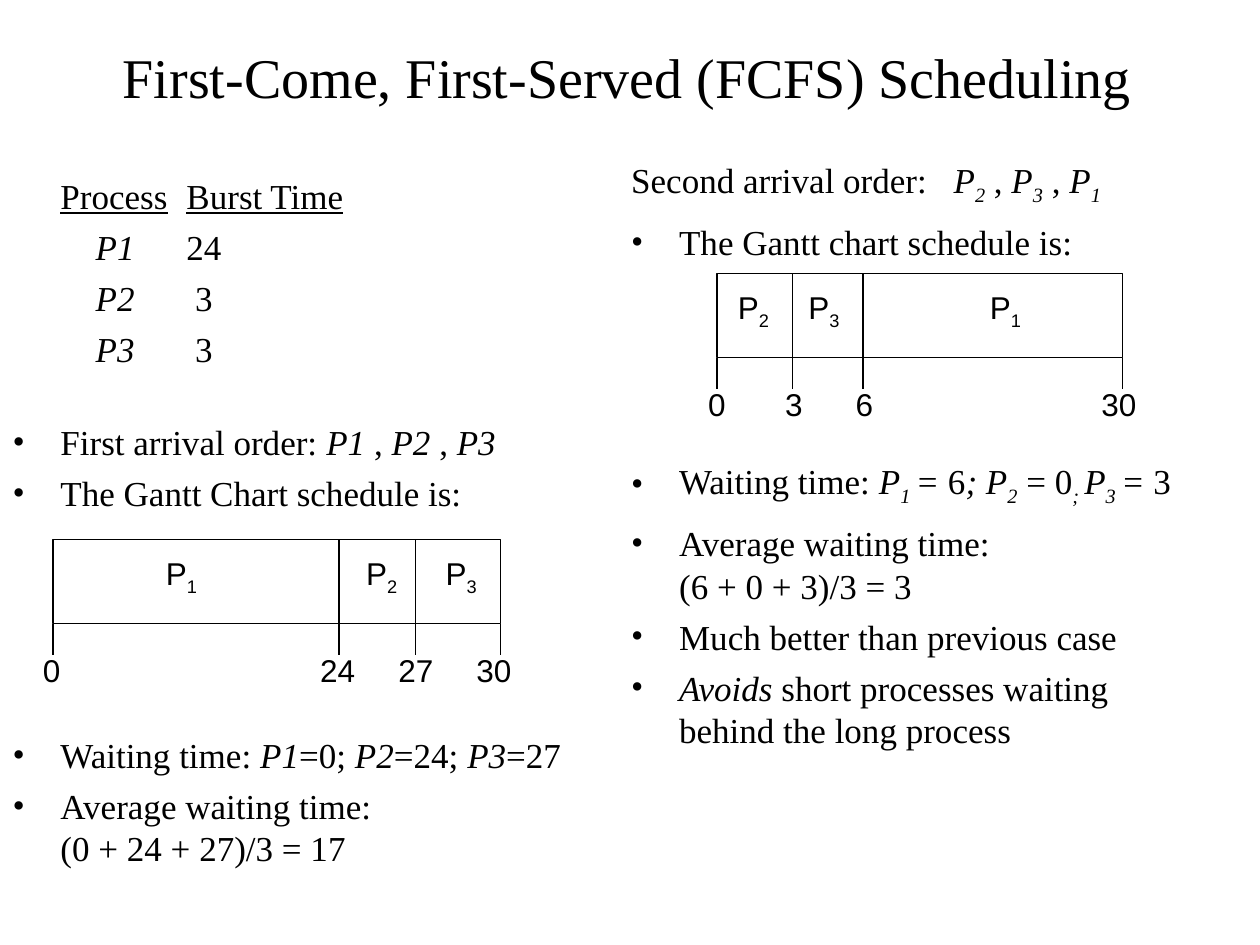
import pptx
import pptx.util
import pptx.dml.color
import pptx.enum.text
import pptx.enum.shapes
import pptx.oxml.ns
import lxml.etree

Inches = pptx.util.Inches
Pt = pptx.util.Pt
ALIGN = pptx.enum.text.PP_ALIGN
ANCHOR = pptx.enum.text.MSO_ANCHOR
INK = "000000"
SERIF = "Times New Roman"
LINE = 24.15  # line pitch of the lists, in points
GAP = 5       # usual space before a list line, in points
BAR = 0.67    # height of a Gantt bar
TICK = 0.25   # length of a tick below the bar


def tint(code):
    return pptx.dml.color.RGBColor.from_string(code)


def say(par, text, size=20, face=SERIF, color=INK, style=""):
    """Add a run; style letters: i italic, s subscript, u underline."""
    run = par.add_run()
    run.text = text
    font = run.font
    font.size, font.name = Pt(size), face
    font.color.rgb = tint(color)
    font.italic = "i" in style
    font.underline = "u" in style
    if "s" in style:
        run._r.get_or_add_rPr().set("baseline", "-25000")


def node(top, tag, **attrs):
    item = lxml.etree.SubElement(top, pptx.oxml.ns.qn("a:" + tag))
    for key, value in attrs.items():
        item.set(key, str(value))
    return item


def place(shape, left, top, wide, high):
    shape.left, shape.top = Inches(left), Inches(top)
    shape.width, shape.height = Inches(wide), Inches(high)
    shape.text_frame.auto_size = pptx.enum.text.MSO_AUTO_SIZE.NONE
    shape.text_frame.word_wrap = True


def fill_list(shape, rows):
    """Each row: bullet flag, first-line indent, space before, runs."""
    frame = shape.text_frame
    for n, (dot, dent, gap, runs) in enumerate(rows):
        par = frame.add_paragraph() if n else frame.paragraphs[0]
        prop = par._p.get_or_add_pPr()
        prop.set("marL", str(Inches(0.38)))
        prop.set("indent", str(Inches(dent)))
        if dot:
            node(prop, "buFont", typeface=SERIF)
            node(prop, "buChar", char="•")
        else:
            node(prop, "buNone")
        node(node(prop, "tabLst"), "tab", pos=Inches(1), algn="l")
        par.line_spacing = Pt(LINE)
        par.space_before = Pt(gap if n else 0)
        for text, style in runs:
            if text == "\n":
                par.add_line_break()
            else:
                say(par, text, style=style)


def point(runs, gap=GAP):
    return True, -0.38, gap, runs


def label(group, mid, top, high, runs):
    wide = 0.48
    box = group.shapes.add_textbox(Inches(mid - wide / 2), Inches(top),
                                   Inches(wide), Inches(high))
    frame = box.text_frame
    frame.word_wrap = False
    frame.vertical_anchor = ANCHOR.MIDDLE
    par = frame.paragraphs[0]
    par.alignment = ALIGN.CENTER
    for text, style in runs:
        say(par, text, size=18, face="Arial", style=style)


def rule(group, x, top, end):
    line = group.shapes.add_connector(
        pptx.enum.shapes.MSO_CONNECTOR.STRAIGHT,
        Inches(x), Inches(top), Inches(x), Inches(end))
    line.line.color.rgb = tint(INK)
    line.line.width = Pt(0.75)
    node(line._element.spPr, "effectLst")


def gantt(slide, top, jobs, ticks):
    """jobs: (number, centre); ticks: (time, x, label centre)."""
    group = slide.shapes.add_group_shape()
    left, right = ticks[0][1], ticks[-1][1]
    base = top + BAR
    bar = group.shapes.add_shape(
        pptx.enum.shapes.MSO_SHAPE.RECTANGLE,
        Inches(left), Inches(top), Inches(right - left), Inches(BAR))
    bar.shadow.inherit = False
    bar.fill.solid()
    bar.fill.fore_color.rgb = tint("FFFFFF")
    bar.line.color.rgb = tint(INK)
    bar.line.width = Pt(0.75)
    for num, mid in jobs:
        label(group, mid, top + 0.07, 0.44, [("P", ""), (num, "s")])
    for time, x, mid in ticks:
        if left < x < right:
            rule(group, x, top, base)
        rule(group, x, base, base + TICK)
        label(group, mid, base + 0.17, 0.4, [(time, "")])


def main():
    deck = pptx.Presentation()
    deck.slide_width, deck.slide_height = Inches(10), Inches(7.5)
    slide = deck.slides.add_slide(deck.slide_layouts[3])
    title, first, second = slide.placeholders

    # Title
    place(title, 0.42, 0.42, 9.12, 0.5)
    title.text_frame.vertical_anchor = ANCHOR.BOTTOM
    head = title.text_frame.paragraphs[0]
    head.alignment = ALIGN.CENTER
    say(head, "First-Come, First-Served (FCFS) Scheduling", size=32)

    # Left list: burst times and first order
    place(first, 0, 1.33, 4.67, 5.68)
    times = [(False, 0.28, GAP, [(name, "i"), ("\t" + time, "")])
             for name, time in (("P1", "24"), ("P2", " 3"), ("P3", " 3"))]
    fill_list(first, [
        (False, 0, 0, [("Process", "u"), ("\t", ""), ("Burst Time", "u")]),
        *times,
        point([("First arrival order: ", ""), ("P1", "i"), (" , ", ""),
               ("P2", "i"), (" , ", ""), ("P3", "i")], GAP + LINE),
        point([("The Gantt Chart schedule is:", "")]),
        point([("Waiting time: ", ""), ("P1", "i"), ("=0; ", ""),
               ("P2", "i"), ("=24; ", ""), ("P3", "i"), ("=27", "")],
              GAP + 5 * LINE),
        point([("Average waiting time:", ""), ("\n", ""),
               ("(0 + 24 + 27)/3 = 17", "")]),
    ])

    # Right list: second order
    place(second, 4.91, 1.25, 4.81, 5.08)
    fill_list(second, [
        (False, -0.38, 0, [
            ("Second arrival order:   ", ""), ("P", "i"), ("2", "is"),
            (" , ", ""), ("P", "i"), ("3", "is"), (" , ", ""),
            ("P", "i"), ("1", "is")]),
        point([("The Gantt chart schedule is:", "")], GAP + 3),
        point([("Waiting time: ", ""), ("P", "i"), ("1 ", "is"), ("=", "i"),
               (" 6", ""), ("; P", "i"), ("2", "is"), (" = 0", ""),
               ("; ", "is"), ("P", "i"), ("3 ", "is"), ("= ", "i"),
               ("3", "")], 116),
        point([("Average waiting time:", ""), ("\n", ""),
               ("(6 + 0 + 3)/3 = 3", "")], GAP + 3),
        point([("Much better than previous case", "")]),
        point([("Avoids ", "i"),
               ("short processes waiting behind the long process", "")]),
    ])

    # Gantt charts
    gantt(slide, 4.28, [("1", 1.44), ("2", 3.03), ("3", 3.66)],
          [("0", 0.42, 0.41), ("24", 2.69, 2.68),
           ("27", 3.3, 3.3), ("30", 3.97, 3.92)])
    gantt(slide, 2.17, [("2", 5.98), ("3", 6.54), ("1", 7.98)],
          [("0", 5.69, 5.69), ("3", 6.29, 6.3),
           ("6", 6.85, 6.86), ("30", 8.91, 8.88)])

    deck.save("out.pptx")


if __name__ == "__main__":
    main()
